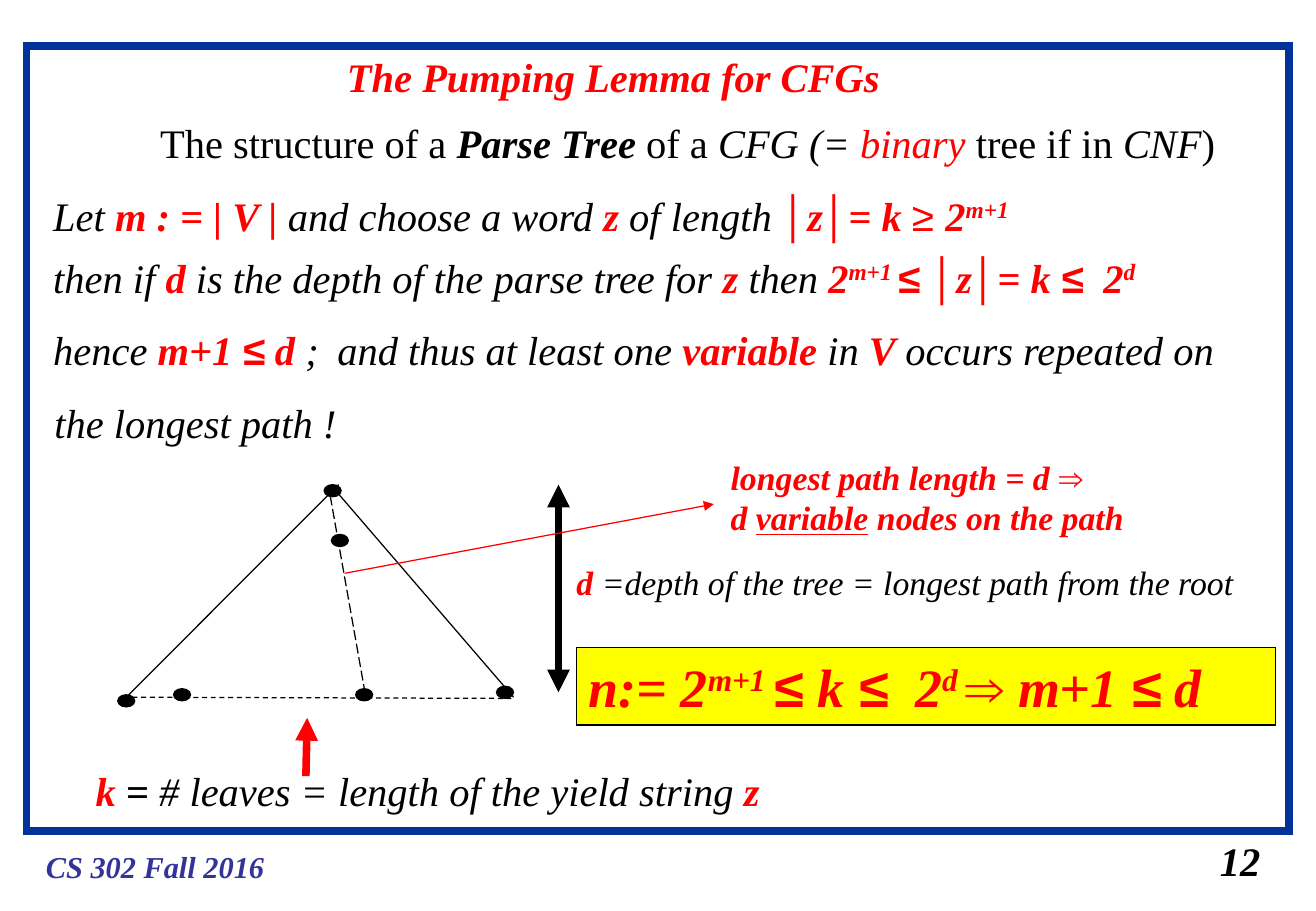
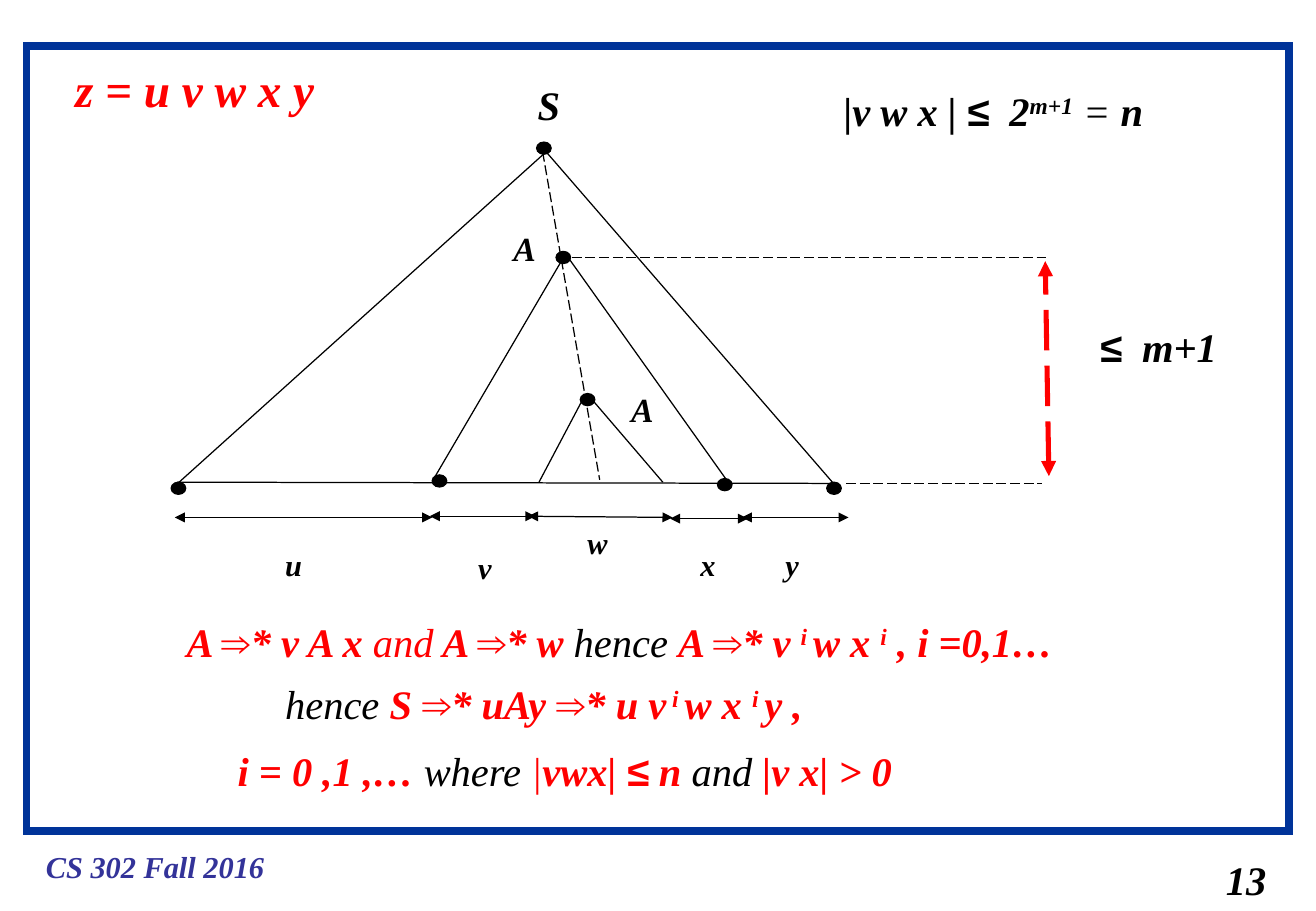
"""Build two lecture slides on the pumping lemma for context-free grammars."""
from dataclasses import dataclass
from functools import partial
from typing import Optional

from lxml import etree
from pptx import Presentation
from pptx import util as u
from pptx.dml.color import RGBColor
from pptx.enum import dml, shapes, text
from pptx.oxml import ns
from pptx.slide import Slide

PX = 9144
RED = RGBColor(0xFF, 0x00, 0x00)
BLACK = RGBColor(0x00, 0x00, 0x00)
WHITE = RGBColor(0xFF, 0xFF, 0xFF)
YELLOW = RGBColor(0xFF, 0xFF, 0x00)
FRAME_BLUE = RGBColor(0x00, 0x33, 0x99)
FOOTER_BLUE = RGBColor(0x33, 0x33, 0x99)
SERIF, SANS = "Times New Roman", "Arial"
DASH, LONG_DASH = dml.MSO_LINE.DASH, dml.MSO_LINE.LONG_DASH


def px(length: int) -> u.Emu:
    return u.Emu(length * PX)


@dataclass(frozen=True)
class Run:
    words: str
    color: RGBColor = RED
    bold: bool = True
    italic: bool = True
    font: str = SERIF
    raised: bool = False
    underlined: bool = False


strong = partial(Run, color=BLACK)
prose = partial(Run, color=BLACK, bold=False)
upright = partial(prose, italic=False)
symbol = partial(Run, font=SANS)
power = partial(Run, raised=True)
BAR = symbol("│", italic=False)
LEQ, ARROW = symbol("≤"), symbol("⇒")
STRONG_LEQ = symbol("≤", color=BLACK)


@dataclass(frozen=True)
class Caption:
    left: int
    top: int
    width: int
    height: int
    lines: tuple[tuple[Run, ...], ...]
    size: int = 24
    wrap: bool = False
    spacing: Optional[float] = None
    indent: int = 0
    fill: Optional[RGBColor] = None


@dataclass(frozen=True)
class Link:
    x1: int
    y1: int
    x2: int
    y2: int
    color: RGBColor = BLACK
    weight: float = 0.75
    dash: Optional[dml.MSO_LINE] = None
    head: bool = False
    tail: bool = False


span = partial(Link, head=True, tail=True)


@dataclass(frozen=True)
class Tree:
    dot_width: int
    links: tuple[Link, ...]
    dots: tuple[tuple[int, int], ...]


def draw_box(slide: Slide, kind: shapes.MSO_SHAPE, box: tuple[int, int, int, int],
             fill: Optional[RGBColor], line: RGBColor, weight: float = 0.75):
    shape = slide.shapes.add_shape(kind, *map(px, box))
    shape.shadow.inherit = False
    if fill is None:
        shape.fill.background()
    else:
        shape.fill.solid()
        shape.fill.fore_color.rgb = fill
    shape.line.color.rgb = line
    shape.line.width = u.Pt(weight)
    etree.SubElement(shape.line._get_or_add_ln(), ns.qn("a:miter")).set("lim", "800000")
    return shape


def draw_caption(slide: Slide, caption: Caption) -> None:
    box = (caption.left, caption.top, caption.width, caption.height)
    if caption.fill is None:
        holder = slide.shapes.add_textbox(*map(px, box))
    else:
        holder = draw_box(slide, shapes.MSO_SHAPE.RECTANGLE, box, caption.fill, BLACK)
    frame = holder.text_frame
    frame.word_wrap = caption.wrap
    frame.auto_size = text.MSO_AUTO_SIZE.SHAPE_TO_FIT_TEXT
    frame.vertical_anchor = text.MSO_ANCHOR.TOP
    for index, line in enumerate(caption.lines):
        paragraph = frame.add_paragraph() if index else frame.paragraphs[0]
        paragraph.alignment = text.PP_ALIGN.LEFT
        if caption.spacing:
            paragraph.line_spacing = caption.spacing
        if caption.indent:
            paragraph._p.get_or_add_pPr().set("indent", str(px(caption.indent)))
        for part in line:
            run = paragraph.add_run()
            run.text = part.words
            font = run.font
            font.name, font.size = part.font, u.Pt(caption.size)
            font.bold, font.italic = part.bold, part.italic
            font.color.rgb = part.color
            if part.underlined:
                font.underline = True
            if part.raised:
                run._r.get_or_add_rPr().set("baseline", "30000")


def draw_link(slide: Slide, link: Link) -> None:
    connector = slide.shapes.add_connector(
        shapes.MSO_CONNECTOR.STRAIGHT, *map(px, (link.x1, link.y1, link.x2, link.y2)))
    connector.line.color.rgb = link.color
    connector.line.width = u.Pt(link.weight)
    if link.dash is not None:
        connector.line.dash_style = link.dash
    outline = connector.line._get_or_add_ln()
    for tag, shown in (("a:headEnd", link.head), ("a:tailEnd", link.tail)):
        if shown:
            etree.SubElement(outline, ns.qn(tag)).set("type", "triangle")
    etree.SubElement(connector._element.spPr, ns.qn("a:effectLst"))


def draw_tree(slide: Slide, tree: Tree) -> None:
    for link in tree.links:
        draw_link(slide, link)
    for left, top in tree.dots:
        draw_box(slide, shapes.MSO_SHAPE.OVAL, (left, top, tree.dot_width, 10), BLACK, BLACK)


FOOTER = Caption(28, 693, 200, 40, ((Run("CS 302 Fall 2016", FOOTER_BLUE),),), 18)

LEMMA_TREE = Tree(
    14,
    (
        Link(279, 399, 104, 574),
        Link(274, 401, 423, 574),
        Link(102, 574, 424, 575, dash=DASH),
        Link(252, 639, 253, 591, RED, 4.5, tail=True),
        span(460, 399, 460, 570, weight=4.5),
        Link(272, 408, 301, 572, dash=LONG_DASH),
        Link(284, 472, 588, 415, RED, tail=True),
    ),
    ((97, 572), (143, 567), (409, 565), (267, 399), (293, 567), (273, 440)),
)

LEMMA_CAPTIONS = (
    Caption(995, 683, 53, 50, ((strong("12"),),)),
    Caption(276, 38, 459, 50, ((Run("The Pumping Lemma for CFGs"),),)),
    Caption(122, 92, 899, 50, ((
        upright("The structure of a "), strong("Parse Tree "), upright("of a "),
        prose("CFG (= "), Run("binary ", bold=False), upright("tree if in "),
        prose("CNF"), upright(")")),)),
    Caption(465, 458, 571, 44, ((
        Run("d "), prose("=depth of the tree = longest path from the root")),), 20),
    Caption(69, 626, 567, 50, ((
        Run("k"), strong(" = "), prose("# leaves = length of the yield string "),
        Run("z")),)),
    Caption(475, 533, 576, 64, ((
        Run("n:= 2"), power("m+1 "), symbol("≤ "), Run("k "), LEQ, Run("  2"),
        power("d "), ARROW, Run(" m+1 "), LEQ, Run(" d")),), 32, fill=YELLOW),
    Caption(592, 371, 358, 77, (
        (Run("longest path length = d "), ARROW),
        (Run("d "), Run("variable", underlined=True), Run(" nodes on the path"))), 20),
    Caption(34, 132, 979, 70, ((
        prose("Let "), Run("m : = | V | "), prose("and choose a word "), Run("z "),
        prose("of length "), BAR, Run("z"), BAR, Run("= k "),
        symbol("≥ ", bold=False, italic=False), Run("2"), power("m+1")),),
        wrap=True, spacing=1.5),
    Caption(34, 183, 971, 130, ((
        prose("then if "), Run("d"), prose(" is the depth of the parse tree for "),
        Run("z "), prose("then "), Run("2"), power("m+1 "), symbol("≤ "), BAR,
        Run("z"), BAR, Run("= k "), LEQ, Run("  2"), power("d "), prose("hence "),
        Run("m+1 "), LEQ, Run(" d "), prose(";")),), wrap=True, spacing=1.5),
    Caption(35, 243, 1012, 130, ((
        prose("and thus at least one "), Run("variable "), prose("in "), Run("V "),
        prose("occurs repeated on the longest path !")),),
        wrap=True, spacing=1.5, indent=233),
)

SPLIT_TREE = Tree(
    12,
    (
        Link(451, 124, 142, 402),
        Link(449, 124, 690, 402),
        Link(146, 397, 690, 398),
        Link(447, 125, 494, 395, dash=LONG_DASH),
        Link(463, 214, 358, 393),
        Link(468, 212, 602, 400),
        Link(481, 327, 444, 397),
        Link(486, 327, 546, 397),
        span(144, 426, 356, 426),
        span(354, 425, 441, 425),
        span(435, 425, 554, 426),
        span(552, 427, 616, 427),
        span(611, 426, 699, 426),
        Link(471, 212, 864, 212, dash=LONG_DASH),
        Link(697, 398, 858, 398, dash=LONG_DASH),
        span(864, 392, 861, 215, RED, 3, LONG_DASH),
    ),
    ((458, 207), (478, 324), (442, 117), (141, 397), (681, 397), (356, 391), (591, 394)),
)

NODE_LABELS = tuple(
    Caption(left, top, width, height, ((strong(name),),), size)
    for name, left, top, width, height, size in (
        ("S", 433, 61, 38, 50, 24),
        ("A", 413, 183, 38, 44, 20),
        ("A", 510, 315, 38, 44, 20),
        ("u", 225, 445, 34, 40, 18),
        ("v", 384, 447, 31, 40, 18),
        ("w", 474, 427, 36, 40, 18),
        ("x", 567, 445, 32, 40, 18),
        ("y", 637, 445, 31, 40, 18),
    )
)

SPLIT_CAPTIONS = NODE_LABELS + (
    Caption(1000, 699, 53, 50, ((strong("13"),),)),
    Caption(52, 45, 250, 57, ((Run("z = u v w x y"),),), 28, wrap=True),
    Caption(685, 66, 309, 50, ((
        strong("|v w x | "), STRONG_LEQ, strong("  2"), strong("m+1", raised=True),
        prose(" = "), strong("n")),), wrap=True),
    Caption(896, 260, 125, 50, ((STRONG_LEQ, strong("  m+1")),)),
    Caption(144, 503, 810, 50, ((
        Run("A "), ARROW, Run("* v A x "), Run("and", bold=False), Run(" A "), ARROW,
        Run("* w "), prose("hence "), Run("A "), ARROW, Run("* v "), power("i "),
        Run("w x "), power("i"), Run(" , i =0,1…")),), wrap=True),
    Caption(225, 554, 489, 50, ((
        prose("hence "), Run("S "), ARROW, Run("* uAy "), ARROW, Run("* u v"),
        power(" i "), Run("w x "), power("i "), Run("y ,")),), wrap=True),
    Caption(186, 609, 693, 50, ((
        Run("i = 0 ,1 ,… "), prose("where "), Run("|", bold=False), Run("vwx| "), LEQ,
        Run(" n "), prose("and "), Run("|v x| > 0")),), wrap=True),
)


def build_slide(deck, tree: Tree, captions: tuple[Caption, ...]) -> None:
    slide = deck.slides.add_slide(deck.slide_layouts[6])
    slide.background.fill.solid()
    slide.background.fill.fore_color.rgb = WHITE
    draw_box(slide, shapes.MSO_SHAPE.RECTANGLE, (22, 38, 1040, 646), None, FRAME_BLUE, 4.5)
    draw_caption(slide, FOOTER)
    draw_tree(slide, tree)
    for caption in captions:
        draw_caption(slide, caption)


def main() -> None:
    deck = Presentation()
    deck.slide_width, deck.slide_height = px(1084), px(750)
    build_slide(deck, LEMMA_TREE, LEMMA_CAPTIONS)
    build_slide(deck, SPLIT_TREE, SPLIT_CAPTIONS)
    deck.save("out.pptx")


if __name__ == "__main__":
    main()
